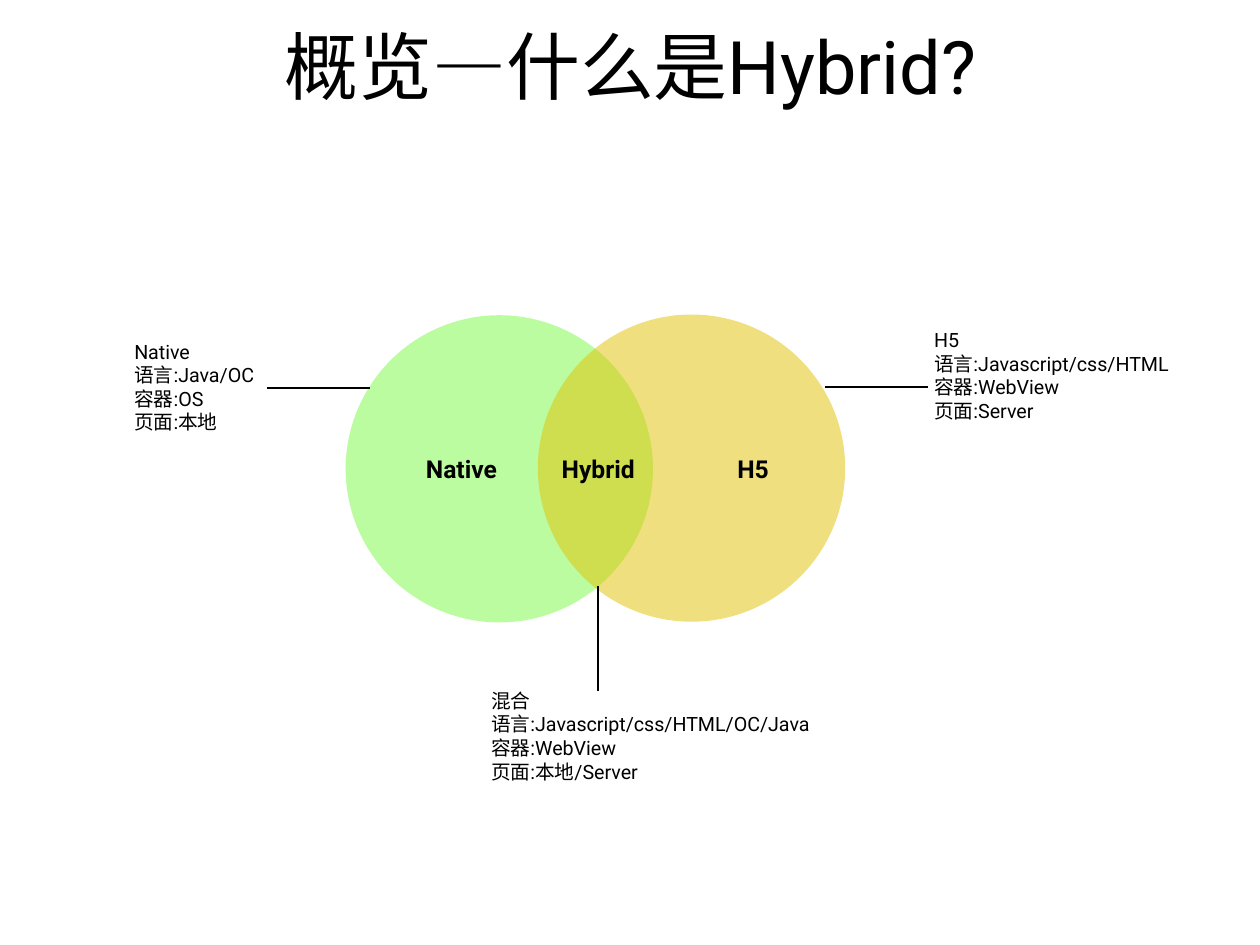
"""Build the slide that explains Hybrid as the overlap of Native and H5."""
from typing import NamedTuple, Optional

from pptx import Presentation
from pptx.dml.color import RGBColor
from pptx.enum.shapes import MSO_CONNECTOR, MSO_SHAPE
from pptx.enum.text import MSO_ANCHOR, MSO_AUTO_SIZE, PP_ALIGN
from pptx.oxml.ns import qn
from pptx.oxml.xmlchemy import OxmlElement
from pptx.slide import Slide
from pptx.text.text import TextFrame
from pptx.util import Cm, Pt

BLACK = RGBColor(0x00, 0x00, 0x00)
WHITE = RGBColor(0xFF, 0xFF, 0xFF)
GREEN = RGBColor(0xBC, 0xFC, 0xA0)
GOLD = RGBColor(0xE0, 0xC1, 0x00)
FONT = "Roboto"
DIAMETER = 8.81
INSET = 0.14


class Circle(NamedTuple):
    left: float
    top: float
    color: RGBColor
    opacity: Optional[int] = None


class Text(NamedTuple):
    left: float
    top: float
    width: float
    height: float
    lines: list[str]


class Leader(NamedTuple):
    start_x: float
    start_y: float
    end_x: float
    end_y: float


CIRCLES = [Circle(9.91, 9.04, GREEN), Circle(15.42, 9.02, GOLD, 50)]
LABELS = [
    Text(12.01, 12.88, 2.44, 1.12, ["Native"]),
    Text(15.88, 12.88, 2.54, 1.12, ["Hybrid"]),
    Text(20.98, 12.88, 1.22, 1.12, ["H5"]),
]
DETAILS = [
    Text(26.64, 9.12, 7.06, 3.28,
         ["H5", "语言:Javascript/css/HTML", "容器:WebView", "页面:Server"]),
    Text(3.71, 9.45, 3.96, 3.28,
         ["Native", "语言:Java/OC", "容器:OS", "页面:本地"]),
    Text(13.94, 19.41, 9.42, 3.38,
         ["混合", "语言:Javascript/css/HTML/OC/Java", "容器:WebView", "页面:本地/Server"]),
]
LEADERS = [
    Leader(23.65, 11.1, 26.59, 11.1),
    Leader(7.65, 11.13, 10.62, 11.13),
    Leader(17.15, 16.81, 17.15, 19.81),
]


def write_text(frame: TextFrame, lines: list[str], size: int, align: PP_ALIGN,
               bold: bool = False, wrap: bool = True) -> None:
    frame.auto_size = MSO_AUTO_SIZE.NONE
    frame.word_wrap = wrap
    frame.vertical_anchor = MSO_ANCHOR.MIDDLE
    frame.margin_left = frame.margin_right = Cm(INSET)
    frame.margin_top = frame.margin_bottom = Cm(INSET)
    frame.text = "\n".join(lines)
    for paragraph in frame.paragraphs:
        paragraph.alignment = align
        paragraph.font.name = FONT
        paragraph.font.size = Pt(size)
        paragraph.font.bold = bold
        paragraph.font.color.rgb = BLACK


def add_title(slide: Slide, text: str) -> None:
    title = slide.shapes.title
    title.left, title.top = Cm(-0.1), Cm(0.03)
    title.width, title.height = Cm(36.35), Cm(3.66)
    write_text(title.text_frame, [text], 60, PP_ALIGN.CENTER)


def add_circle(slide: Slide, circle: Circle) -> None:
    shape = slide.shapes.add_shape(MSO_SHAPE.OVAL, Cm(circle.left), Cm(circle.top),
                                   Cm(DIAMETER), Cm(DIAMETER))
    shape.shadow.inherit = False
    shape.line.fill.background()
    shape.fill.solid()
    shape.fill.fore_color.rgb = circle.color
    if circle.opacity is not None:
        alpha = OxmlElement("a:alpha")
        alpha.set("val", str(circle.opacity * 1000))
        shape.fill._xPr.find(qn("a:solidFill"))[0].append(alpha)


def add_text(slide: Slide, text: Text, size: int, align: PP_ALIGN,
             bold: bool, wrap: bool) -> None:
    box = slide.shapes.add_textbox(Cm(text.left), Cm(text.top),
                                   Cm(text.width), Cm(text.height))
    write_text(box.text_frame, text.lines, size, align, bold, wrap)


def add_leader(slide: Slide, leader: Leader) -> None:
    connector = slide.shapes.add_connector(MSO_CONNECTOR.STRAIGHT,
                                           *(Cm(value) for value in leader))
    connector.line.color.rgb = BLACK
    connector.line.width = Pt(2)
    connector._element.spPr.append(OxmlElement("a:effectLst"))


def main() -> None:
    presentation = Presentation()
    presentation.slide_width, presentation.slide_height = Cm(36.12), Cm(27.1)
    slide = presentation.slides.add_slide(presentation.slide_layouts[5])
    slide.background.fill.solid()
    slide.background.fill.fore_color.rgb = WHITE
    add_title(slide, "概览—什么是Hybrid?")
    for circle in CIRCLES:
        add_circle(slide, circle)
    for label in LABELS:
        add_text(slide, label, 20, PP_ALIGN.CENTER, bold=True, wrap=False)
    for detail in DETAILS:
        add_text(slide, detail, 16, PP_ALIGN.LEFT, bold=False, wrap=True)
    for leader in LEADERS:
        add_leader(slide, leader)
    presentation.save("out.pptx")


if __name__ == "__main__":
    main()
